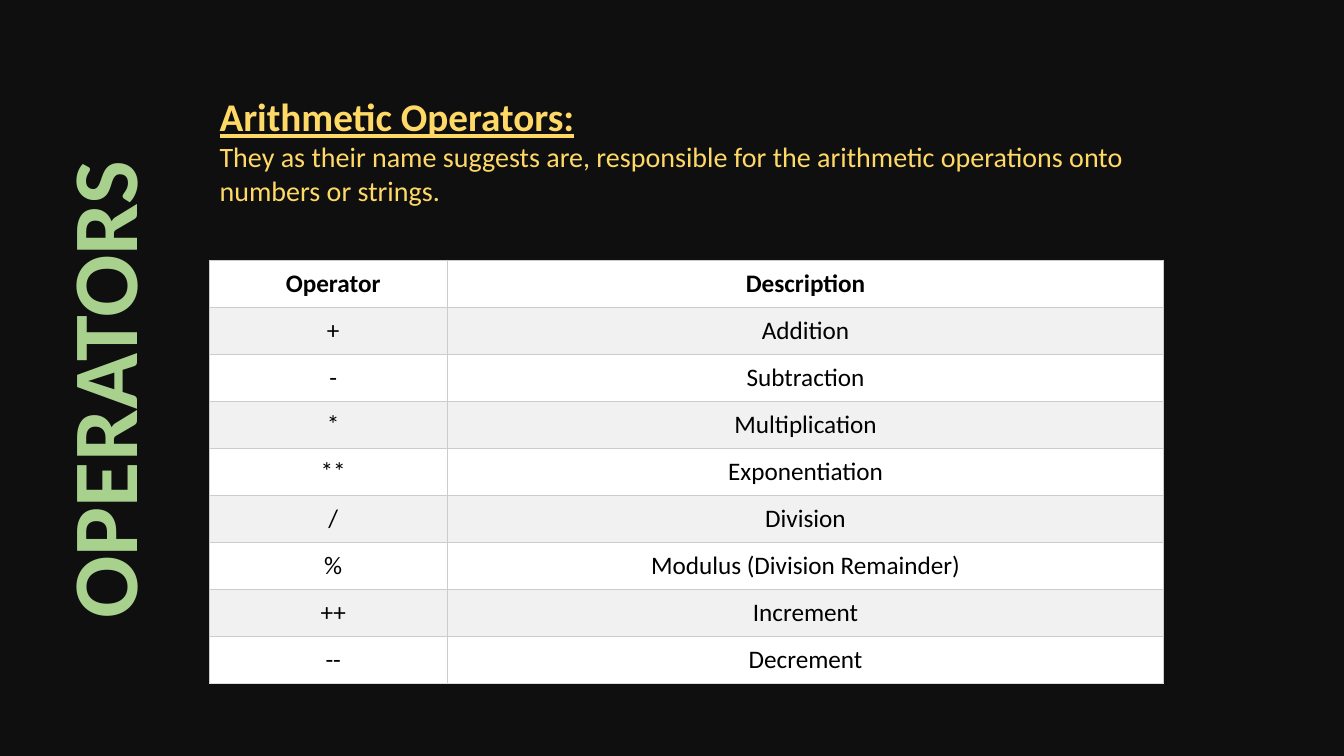
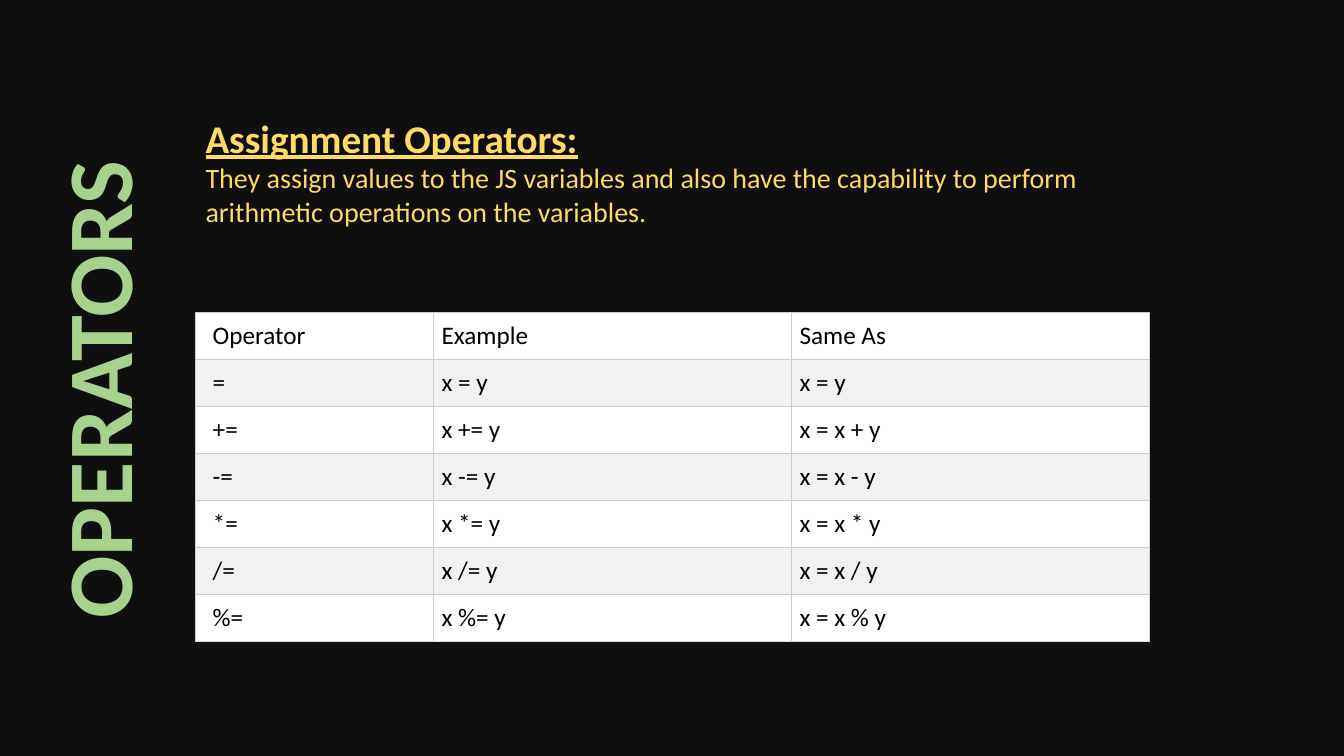
from lxml import etree
from pptx import Presentation
from pptx.dml.color import RGBColor
from pptx.enum.text import MSO_AUTO_SIZE, PP_ALIGN
from pptx.oxml.ns import qn
from pptx.util import Inches, Pt

LEFT = PP_ALIGN.LEFT
CENTER = PP_ALIGN.CENTER
FIT_SHAPE = MSO_AUTO_SIZE.SHAPE_TO_FIT_TEXT

COLORS = {
    "background": "0F0F0F",
    "banner": "A9D18E",
    "intro": "FFD966",
    "cell_text": "000000",
    "plain_row": "FFFFFF",
    "shaded_row": "F1F1F1",
    "border": "CCCCCC",
    "last_border": "DDDDDD",
}
FORMATS = {
    "banner": {"size": Pt(66), "bold": True},
    "heading": {"size": Pt(28), "bold": True, "underline": True},
    "summary": {"size": Pt(20), "bold": False, "underline": False},
    "cell": {"size": Pt(18), "bold": False},
    "header_cell": {"size": Pt(18), "bold": True},
}
FONT = "Calibri"
CONTENT_WIDTH = 9.46
CELL_INSET = 0.08
FIRST_CELL_INSET = 0.17

ARITHMETIC_ROWS = [
    ("Operator", "Description"),
    ("+", "Addition"),
    ("-", "Subtraction"),
    ("*", "Multiplication"),
    ("**", "Exponentiation"),
    ("/", "Division"),
    ("%", "Modulus (Division Remainder)"),
    ("++", "Increment"),
    ("--", "Decrement"),
]
ASSIGNMENT_ROWS = [
    ("Operator", "Example", "Same As"),
    ("=", "x = y", "x = y"),
    ("+=", "x += y", "x = x + y"),
    ("-=", "x -= y", "x = x - y"),
    ("*=", "x *= y", "x = x * y"),
    ("/=", "x /= y", "x = x / y"),
    ("%=", "x %= y", "x = x % y"),
]


def color(name):
    return RGBColor.from_string(COLORS[name])


def write_text(para, text, format_name, color_name, align=LEFT):
    para.alignment = align
    span = para.add_run()
    span.text = text
    span.font.name = FONT
    span.font.color.rgb = color(color_name)
    for attribute, value in FORMATS[format_name].items():
        setattr(span.font, attribute, value)


def add_text_box(page, left, top, width, height):
    box = page.shapes.add_textbox(*map(Inches, (left, top, width, height)))
    box.text_frame.word_wrap = True
    box.text_frame.auto_size = FIT_SHAPE
    return box


def add_banner(page, left):
    box = add_text_box(page, left, 3.26, 5.57, 1.21)
    box.rotation = 270
    write_text(box.text_frame.paragraphs[0], "OPERATORS", "banner", "banner", CENTER)


def add_intro(page, left, top, heading, summary):
    frame = add_text_box(page, left, top, CONTENT_WIDTH, 1.25).text_frame
    write_text(frame.paragraphs[0], heading, "heading", "intro")
    write_text(frame.add_paragraph(), summary, "summary", "intro")


def add_borders(cell, is_last):
    properties = cell._tc.get_or_add_tcPr()
    for side in "LRTB":
        name = "last_border" if is_last and side == "B" else "border"
        line = etree.SubElement(properties, qn(f"a:ln{side}"), w=str(Pt(0.75)))
        fill = etree.SubElement(line, qn("a:solidFill"))
        etree.SubElement(fill, qn("a:srgbClr"), val=COLORS[name])


def add_operator_table(page, left, top, height, widths, rows, align, header_format):
    frame = page.shapes.add_table(
        len(rows), len(widths), *map(Inches, (left, top, CONTENT_WIDTH, height)))
    table = frame.table
    table.first_row = False
    table.horz_banding = False
    for column, width in zip(table.columns, widths):
        column.width = Inches(width)
    for row_index, texts in enumerate(rows):
        table.rows[row_index].height = Inches(height / len(rows))
        fill_name = "shaded_row" if row_index % 2 else "plain_row"
        format_name = "cell" if row_index else header_format
        for column_index, text in enumerate(texts):
            cell = table.cell(row_index, column_index)
            cell.margin_left = Inches(CELL_INSET if column_index else FIRST_CELL_INSET)
            for side in ("top", "right", "bottom"):
                setattr(cell, f"margin_{side}", Inches(CELL_INSET))
            add_borders(cell, row_index == len(rows) - 1)
            cell.fill.solid()
            cell.fill.fore_color.rgb = color(fill_name)
            write_text(cell.text_frame.paragraphs[0], text, format_name, "cell_text", align)


def add_page(deck):
    return deck.slides.add_slide(deck.slide_layouts[6])


def add_arithmetic_page(deck):
    page = add_page(deck)
    add_operator_table(page, 2.08, 2.58, 4.2, (2.36, 7.1), ARITHMETIC_ROWS,
                       CENTER, "header_cell")
    add_intro(page, 2.08, 0.87, "Arithmetic Operators:",
              "They as their name suggests are, responsible for the arithmetic "
              "operations onto numbers or strings.")
    add_banner(page, -1.78)


def add_assignment_page(deck):
    page = add_page(deck)
    add_banner(page, -1.83)
    add_operator_table(page, 1.94, 3.1, 3.27, (2.36, 3.55, 3.55), ASSIGNMENT_ROWS,
                       LEFT, "cell")
    add_intro(page, 1.94, 1.08, "Assignment Operators:",
              "They assign values to the JS variables and also have the capability "
              "to perform arithmetic operations on the variables.")


def main():
    deck = Presentation()
    deck.slide_width = Inches(13.33)
    deck.slide_height = Inches(7.5)
    background = deck.slide_master.background.fill
    background.solid()
    background.fore_color.rgb = color("background")
    add_arithmetic_page(deck)
    add_assignment_page(deck)
    deck.save("out.pptx")


if __name__ == "__main__":
    main()
